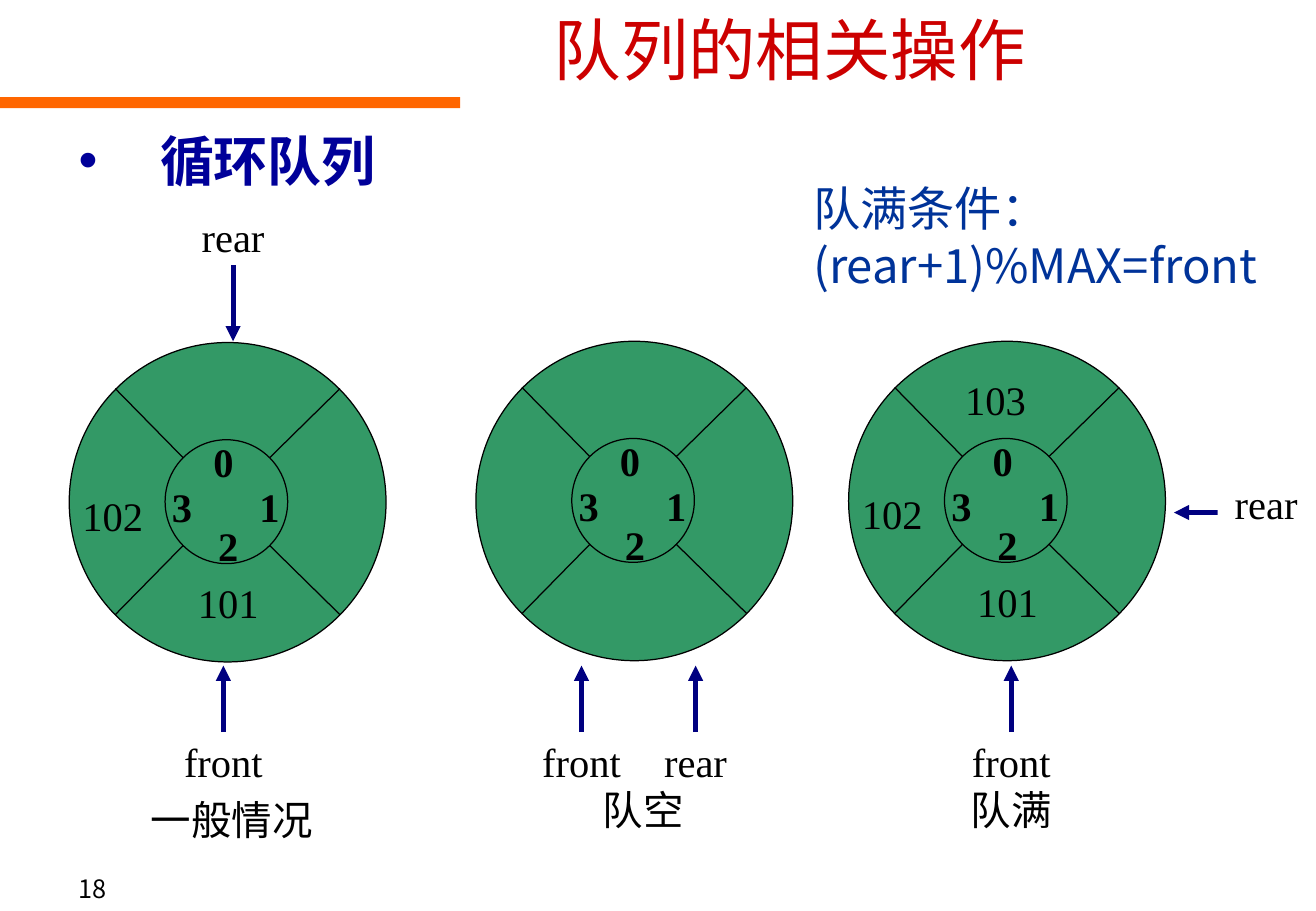
from lxml import etree
from pptx import Presentation
from pptx.dml.color import RGBColor
from pptx.enum.shapes import MSO_CONNECTOR as Connector, MSO_SHAPE as Shape
from pptx.enum.text import MSO_ANCHOR as Anchor, PP_ALIGN as Align
from pptx.oxml.ns import qn
from pptx.util import Inches, Pt

COLORS = {"orange": "FF6600", "red": "CC0000", "blue": "000099", "navy": "000080",
          "condition": "003399", "green": "339966", "black": "000000", "white": "FFFFFF"}
SANS, SERIF = "Noto Sans CJK SC", "Times New Roman"

deck = Presentation()
deck.slide_width, deck.slide_height = Inches(10.84), Inches(7.5)
page = deck.slides.add_slide(deck.slide_layouts[6])


def add_text(place, lines, size=24, font=SERIF, color="black", bold=False,
             align=Align.CENTER, anchor=Anchor.MIDDLE, fill=None):
    box = page.shapes.add_textbox(*map(Inches, place))
    if fill:
        box.fill.solid()
        box.fill.fore_color.rgb = RGBColor.from_string(COLORS[fill])
    frame = box.text_frame
    frame.word_wrap, frame.vertical_anchor = True, anchor
    for index, line in enumerate(lines):
        para = frame.add_paragraph() if index else frame.paragraphs[0]
        para.alignment = align
        span = para.add_run()
        span.text = line
        span.font.size, span.font.name, span.font.bold = Pt(size), font, bold
        span.font.color.rgb = RGBColor.from_string(COLORS[color])
        etree.SubElement(span.font._element, qn("a:ea"), typeface=SANS)
    return box


def add_line(start, end, color="black", width=0.75, arrow=False):
    line = page.shapes.add_connector(Connector.STRAIGHT, *map(Inches, (*start, *end)))
    line.line.color.rgb = RGBColor.from_string(COLORS[color])
    line.line.width = Pt(width)
    if arrow:
        etree.SubElement(line.line._get_or_add_ln(), qn("a:tailEnd"), type="triangle")
    etree.SubElement(line._element.spPr, qn("a:effectLst"))


# Heading
bar = page.shapes.add_shape(Shape.RECTANGLE, 0, Inches(0.8), Inches(3.79), Inches(0.09))
bar.shadow.inherit = False
bar.fill.solid()
bar.fill.fore_color.rgb = RGBColor.from_string(COLORS["orange"])
bar.line.fill.background()
add_text((2.17, 0, 8.67, 0.8), ["队列的相关操作"], 40, SANS, "red")

topic = add_text((0.55, 1, 5, 0.7), ["循环队列"], 32, SANS, "blue", True,
                 Align.LEFT, Anchor.TOP)
bullet = topic.text_frame.paragraphs[0]._p.get_or_add_pPr()
bullet.set("marL", str(Inches(0.67)))
bullet.set("indent", str(-Inches(0.67)))
etree.SubElement(bullet, qn("a:buFont"), typeface="Arial")
etree.SubElement(bullet, qn("a:buChar"), char="•")

# Ring queues: left, top and the stored values
RING_WIDTH, RING_HEIGHT = 2.61, 2.63
SLOT_CENTERS = {"0": (1.27, 0.98), "1": (1.65, 1.35), "2": (1.31, 1.67), "3": (0.93, 1.35)}
VALUE_CENTERS = {"101": (1.31, 2.14), "102": (0.36, 1.42), "103": (1.21, 0.48)}
rings = [(0.57, 2.82, ["101", "102"]), (3.92, 2.81, []), (6.99, 2.81, ["101", "102", "103"])]

for left, top, values in rings:
    for dx, dy, width, height in [(0, 0, RING_WIDTH, RING_HEIGHT), (0.79, 0.8, 1.01, 1.02)]:
        disc = page.shapes.add_shape(
            Shape.OVAL, *map(Inches, (left + dx, top + dy, width, height)))
        disc.shadow.inherit = False
        disc.fill.solid()
        disc.fill.fore_color.rgb = RGBColor.from_string(COLORS["green"])
        disc.line.color.rgb = RGBColor.from_string(COLORS["black"])
        disc.line.width = Pt(0.75)
    for inner_x, outer_x in [(0.94, 0.38), (1.65, 2.23)]:
        for inner_y, outer_y in [(0.95, 0.38), (1.67, 2.24)]:
            add_line((left + inner_x, top + inner_y), (left + outer_x, top + outer_y))
    for slot, (x, y) in SLOT_CENTERS.items():
        add_text((left + x - 0.2, top + y - 0.25, 0.4, 0.5), [slot], bold=True)
    for value in values:
        x, y = VALUE_CENTERS[value]
        add_text((left + x - 0.4, top + y - 0.25, 0.8, 0.5), [value])

# Pointers: name, arrow start, arrow end, label place
pointers = [("rear", (1.92, 2.18), (1.92, 2.81), (1.37, 1.71, 1.1, 0.47)),
            ("rear", (10.06, 4.22), (9.67, 4.22), (10.03, 3.91, 0.8, 0.47))]
for name, x in [("front", 1.84), ("front", 4.79), ("rear", 5.73), ("front", 8.33)]:
    pointers.append((name, (x, 6.03), (x, 5.48), (x - 0.55, 6.03, 1.1, 0.47)))
for name, start, end, place in pointers:
    add_line(start, end, "navy", 3, arrow=True)
    add_text(place, [name], fill="white")

for caption, center, top in [("一般情况", 1.91, 6.51), ("队空", 5.3, 6.43), ("队满", 8.33, 6.43)]:
    add_text((center - 0.9, top, 1.8, 0.47), [caption])

add_text((6.6, 1.43, 4.02, 1.3), ["队满条件：", "(rear+1)%MAX=front"], 28, SANS,
         "condition", align=Align.LEFT, anchor=Anchor.TOP)
add_text((0.55, 7.14, 2.26, 0.36), ["18"], 15, SANS, align=Align.LEFT, anchor=Anchor.TOP)

deck.save("out.pptx")
